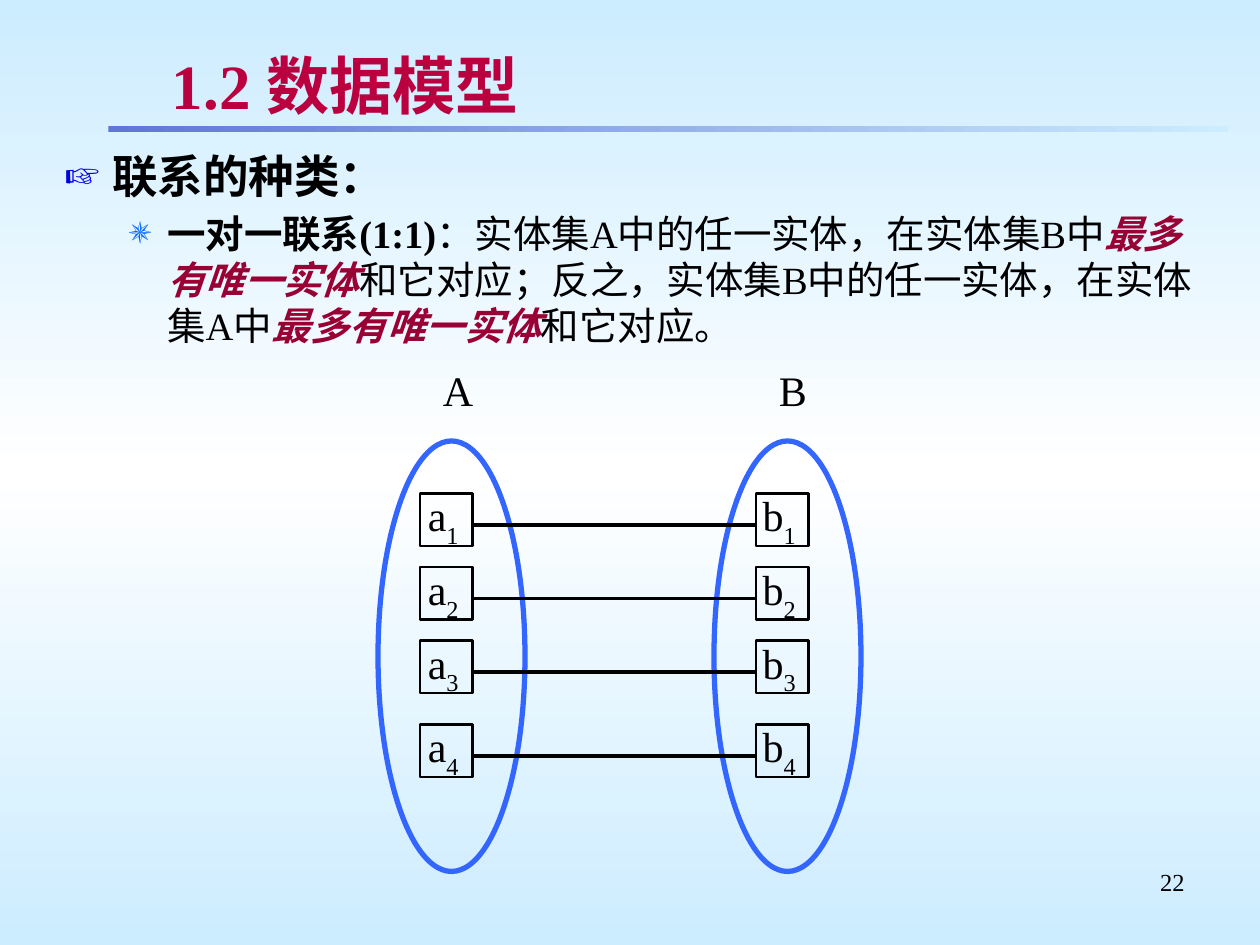
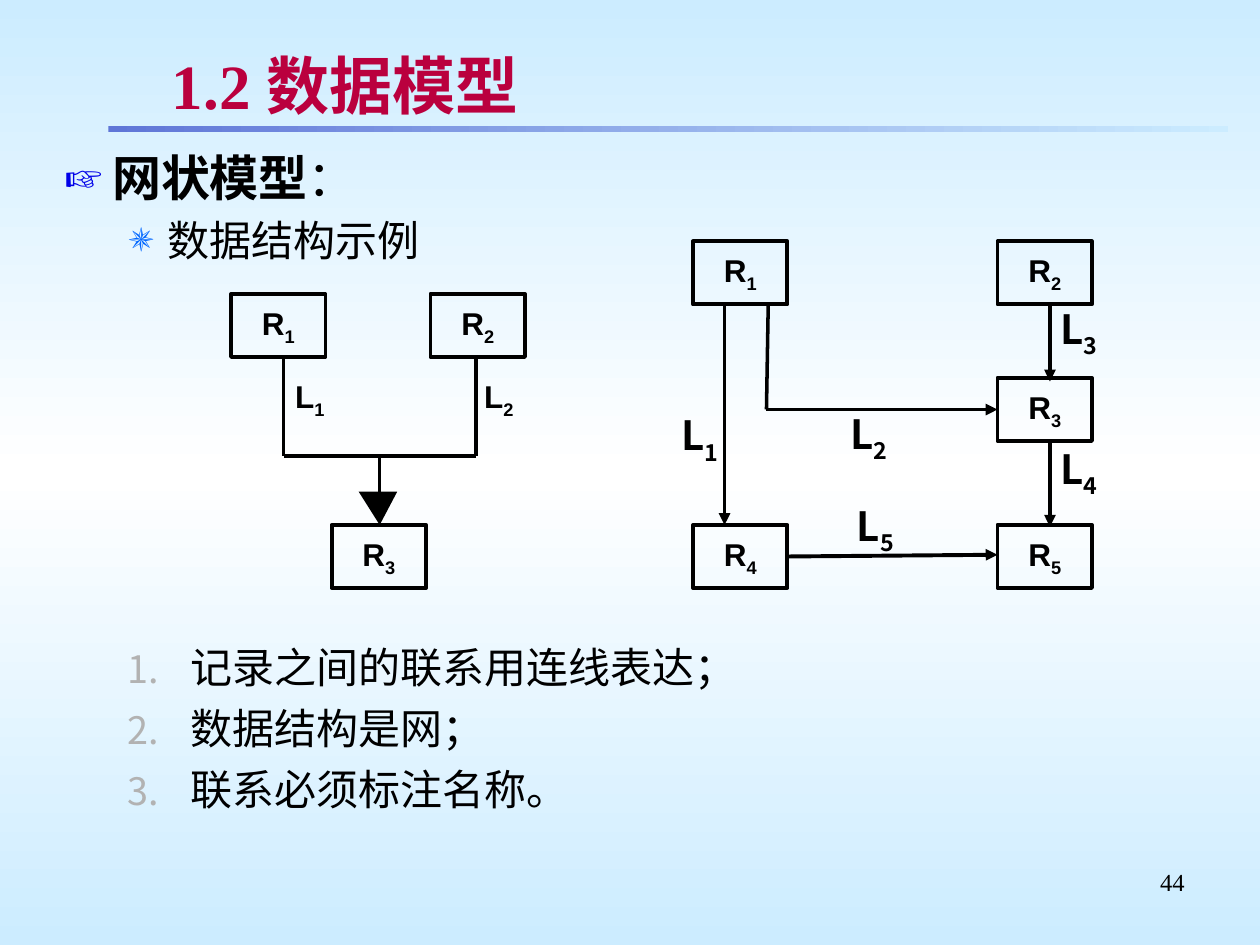
from dataclasses import dataclass

from lxml import etree
from pptx import Presentation
from pptx.dml.color import RGBColor
from pptx.enum import shapes, text
from pptx.oxml import ns
from pptx.util import Pt

# Shared colours and fonts
BLACK = RGBColor(0x00, 0x00, 0x00)
WHITE = RGBColor(0xFF, 0xFF, 0xFF)
SKY = RGBColor(0xCC, 0xEC, 0xFF)
BAND_BLUE = RGBColor(0x5F, 0x76, 0xD7)
TITLE_RED = RGBColor(0xBA, 0x00, 0x3E)
KEY_RED = RGBColor(0x99, 0x00, 0x33)
HAND_BLUE = RGBColor(0x00, 0x00, 0xE8)
STAR_BLUE = RGBColor(0x00, 0x66, 0xFF)
SET_BLUE = RGBColor(0x33, 0x66, 0xFF)
NUMBER_GREY = RGBColor(0xB2, 0xB2, 0xB2)
SERIF, SANS, CJK = "Times New Roman", "Arial", "Noto Sans CJK SC"

TITLE = "1.2 数据模型"
LINE_HEIGHT = 1.2  # exact line pitch, as a multiple of the text size
DROP = 3  # moves Chinese text down to sit right in its exact line pitch


@dataclass(frozen=True)
class Span:
    text: str
    bold: bool = False
    italic: bool = False
    color: RGBColor = BLACK


@dataclass(frozen=True)
class Bullet:
    mark: str  # a symbol, or empty for automatic numbers
    color: RGBColor
    percent: int
    margin: float
    hang: float


@dataclass(frozen=True)
class Item:
    bullet: Bullet
    spans: tuple[Span, ...]
    size: float
    space: float = 0
    font: str = SERIF


@dataclass(frozen=True)
class Label:
    letter: str
    index: str
    left: float
    top: float


@dataclass(frozen=True)
class Line:
    start: tuple[float, float]
    end: tuple[float, float]
    width: float = 2.25
    arrow: bool = False


HAND = Bullet("☞", HAND_BLUE, 95, 27, 27)
STAR = Bullet("✵", STAR_BLUE, 80, 58.5, 22.5)
NUMBER = Bullet("", NUMBER_GREY, 90, 72, 36)


# Basic tools
def add_xml(parent, tag: str, **attributes):
    return etree.SubElement(parent, ns.qn(tag), attributes)


def set_gradient(fill, element, colors: list[RGBColor], angle: int) -> None:
    fill.gradient()
    fill.gradient_angle = angle
    stops = element.xpath(".//a:gsLst")[0]
    for stop in list(stops):
        stops.remove(stop)
    for number, color in enumerate(colors):
        stop = add_xml(stops, "a:gs", pos=str(100000 * number // (len(colors) - 1)))
        add_xml(stop, "a:srgbClr", val=str(color))


def add_span(para, words: str, *, size: float, font: str = SERIF, color: RGBColor = BLACK,
             bold: bool = False, italic: bool = False, baseline: int = 0):
    span = para.add_run()
    span.text = words
    span.font.size, span.font.name = Pt(size), font
    span.font.bold, span.font.italic = bold, italic
    span.font.color.rgb = color
    properties = span.font._element
    add_xml(properties, "a:ea", typeface=CJK)
    if baseline:
        properties.set("baseline", str(baseline * 1000))
    return span


def add_bullet(para, bullet: Bullet) -> None:
    properties = para._p.get_or_add_pPr()
    properties.set("marL", str(Pt(bullet.margin)))
    properties.set("indent", str(-Pt(bullet.hang)))
    add_xml(add_xml(properties, "a:buClr"), "a:srgbClr", val=str(bullet.color))
    add_xml(properties, "a:buSzPct", val=str(bullet.percent * 1000))
    add_xml(properties, "a:buFont", typeface=SERIF if bullet.mark else CJK)
    if bullet.mark:
        add_xml(properties, "a:buChar", char=bullet.mark)
    else:
        add_xml(properties, "a:buAutoNum", type="arabicPeriod")


def add_items(page, left: float, top: float, width: float, height: float,
              items: list[Item]) -> None:
    frame = page.shapes.add_textbox(Pt(left), Pt(top + DROP), Pt(width), Pt(height)).text_frame
    frame.word_wrap = True
    for number, item in enumerate(items):
        para = frame.add_paragraph() if number else frame.paragraphs[0]
        add_bullet(para, item.bullet)
        para.space_before = Pt(item.space if number else 0)
        para.line_spacing = Pt(round(item.size * LINE_HEIGHT, 1))
        for span in item.spans:
            add_span(para, span.text, size=item.size, font=item.font, color=span.color,
                     bold=span.bold, italic=span.italic)


def add_outline(page, kind, left: float, top: float, width: float, height: float,
                line_width: float, color: RGBColor = BLACK):
    box = page.shapes.add_shape(kind, Pt(left), Pt(top), Pt(width), Pt(height))
    box.shadow.inherit = False
    box.fill.background()
    box.line.color.rgb = color
    box.line.width = Pt(line_width)
    return box


def add_label(box, letter: str, index: str, *, size: float, font: str, bold: bool,
              baseline: int) -> None:
    frame = box.text_frame
    frame.word_wrap = False
    frame.vertical_anchor = text.MSO_ANCHOR.MIDDLE
    para = frame.paragraphs[0]
    para.alignment = text.PP_ALIGN.CENTER
    add_span(para, letter, size=size, font=font, bold=bold)
    if index:
        add_span(para, index, size=size, font=font, bold=bold, baseline=baseline)


def add_line(page, line: Line) -> None:
    link = page.shapes.add_connector(
        shapes.MSO_CONNECTOR.STRAIGHT, *(Pt(value) for value in line.start + line.end))
    link.line.color.rgb = BLACK
    link.line.width = Pt(line.width)
    if line.arrow:
        add_xml(link.line._get_or_add_ln(), "a:tailEnd", type="triangle")
    add_xml(link._element.spPr, "a:effectLst")


# Frame common to all slides
def add_page(deck, number: str):
    page = deck.slides.add_slide(deck.slide_layouts[5])
    band = page.shapes.add_shape(shapes.MSO_SHAPE.RECTANGLE, Pt(62), Pt(72), Pt(640), Pt(3.6))
    band.shadow.inherit = False
    band.line.fill.background()
    set_gradient(band.fill, band._element, [BAND_BLUE, SKY], 0)

    title = page.shapes.title
    title.left, title.top, title.width, title.height = Pt(91), Pt(21 + DROP), Pt(593), Pt(48)
    frame = title.text_frame
    frame.auto_size = text.MSO_AUTO_SIZE.NONE
    frame.vertical_anchor = text.MSO_ANCHOR.MIDDLE
    frame.margin_top = frame.margin_bottom = Pt(3)
    para = frame.paragraphs[0]
    para.alignment = text.PP_ALIGN.LEFT
    para.line_spacing = Pt(36 * LINE_HEIGHT)
    span = add_span(para, TITLE, size=36, color=TITLE_RED, bold=True)
    effects = etree.Element(ns.qn("a:effectLst"))
    shadow = add_xml(effects, "a:outerShdw", dist="25400", dir="2700000")
    add_xml(shadow, "a:srgbClr", val="C0C0C0")
    span.font._element.find(ns.qn("a:solidFill")).addnext(effects)

    footer = page.shapes.add_textbox(Pt(516), Pt(492), Pt(168), Pt(37)).text_frame
    footer.word_wrap = True
    footer.paragraphs[0].alignment = text.PP_ALIGN.RIGHT
    add_span(footer.paragraphs[0], number, size=14)
    return page


# One-to-one relationship
def build_one_to_one(deck) -> None:
    page = add_page(deck, "22")
    only_one = Span("最多有唯一实体", bold=True, italic=True, color=KEY_RED)
    add_items(page, 30, 78, 666, 154, [
        Item(HAND, (Span("联系的种类：", bold=True),), 26),
        Item(STAR, (
            Span("一对一联系(1:1)", bold=True),
            Span("：实体集A中的任一实体，在实体集B中"),
            only_one,
            Span("和它对应；反之，实体集B中的任一实体，在实体集A中"),
            only_one,
            Span("和它对应。"),
        ), 22, 4.1),
    ])
    member_tops = (282, 324, 366, 414)
    label_format = dict(size=24, font=SERIF, bold=False, baseline=-30)
    for name, left in (("A", 216), ("B", 408)):
        add_outline(page, shapes.MSO_SHAPE.OVAL, left, 252, 84, 246, 3, SET_BLUE)
        heading = page.shapes.add_textbox(Pt(left + 30), Pt(222), Pt(30), Pt(30))
        add_label(heading, name + " ", "", **label_format)
        for number, top in enumerate(member_tops, 1):
            box = add_outline(page, shapes.MSO_SHAPE.RECTANGLE, left + 24, top, 30, 30, 1.5)
            add_label(box, name.lower(), f"{number} ", **label_format)
    for top in member_tops:
        add_line(page, Line((270, top + 18), (432, top + 18)))


# Network model
RECORDS = [
    Label("R", "1", 132, 168), Label("R", "2", 246, 168), Label("R", "3", 189.5, 300),
    Label("R", "1", 396, 138), Label("R", "2", 570, 138), Label("R", "3", 570, 216),
    Label("R", "4", 396, 300), Label("R", "5", 570, 300),
]
LEFT_LINKS = [Label("L", "1", 156, 210), Label("L", "2", 264, 210)]
RIGHT_LINKS = [
    Label("L", "1", 389.5, 234.7), Label("L", "2", 486, 234), Label("L", "3", 606, 174),
    Label("L", "4", 606, 254), Label("L", "5", 489.6, 286.6),
]
LINES = [
    Line((162, 204), (162, 260.6), 2),
    Line((272, 204), (272, 260.6), 2),
    Line((162, 260.6), (272, 260.6), 2),
    Line((217, 260.6), (217, 284.4), 2),
    Line((414, 174), (414, 300), arrow=True),
    Line((439, 175), (438, 234), 2),
    Line((438, 234), (570, 234), arrow=True),
    Line((600, 174), (600, 218), arrow=True),
    Line((600, 252.7), (600, 301), arrow=True),
    Line((450, 318), (570, 317), arrow=True),
]


def build_network_model(deck) -> None:
    page = add_page(deck, "44")
    add_items(page, 30, 78, 333, 86, [
        Item(HAND, (Span("网状模型", bold=True), Span("：")), 28),
        Item(STAR, (Span("数据结构示例"),), 24, 4.5),
    ])
    conclusions = ("记录之间的联系用连线表达；", "数据结构是网；", "联系必须标注名称。")
    add_items(page, 30, 360, 648, 108,
              [Item(NUMBER, (Span(words),), 24, 6, SANS) for words in conclusions])

    for line in LINES:
        add_line(page, line)
    builder = page.shapes.build_freeform(Pt(205), Pt(281))
    builder.add_line_segments([(Pt(217), Pt(300)), (Pt(227), Pt(281))], close=True)
    arrowhead = builder.convert_to_shape()
    arrowhead.shadow.inherit = False
    arrowhead.fill.solid()
    arrowhead.fill.fore_color.rgb = BLACK
    arrowhead.line.fill.background()

    label_format = dict(size=18, font=SANS, bold=True, baseline=-25)
    for record in RECORDS:
        box = add_outline(page, shapes.MSO_SHAPE.RECTANGLE, record.left, record.top, 54, 36, 2.25)
        add_label(box, record.letter, record.index, **label_format)
    for link in LEFT_LINKS:
        box = page.shapes.add_textbox(Pt(link.left), Pt(link.top), Pt(42), Pt(36))
        add_label(box, link.letter, link.index, **label_format)
    for link in RIGHT_LINKS:
        frame = page.shapes.add_textbox(Pt(link.left), Pt(link.top), Pt(37), Pt(32)).text_frame
        frame.word_wrap = True
        frame.margin_left = frame.margin_top = frame.margin_right = frame.margin_bottom = 0
        para = frame.paragraphs[0]
        add_span(para, link.letter, size=23, font=CJK, bold=True)
        add_span(para, link.index, size=23, font=CJK, bold=True, baseline=-25)


def main() -> None:
    deck = Presentation()
    deck.slide_width, deck.slide_height = Pt(720), Pt(540)
    master = deck.slide_master
    set_gradient(master.background.fill, master.element.cSld, [SKY, WHITE, SKY], 90)
    build_one_to_one(deck)
    build_network_model(deck)
    deck.save("out.pptx")


if __name__ == "__main__":
    main()
